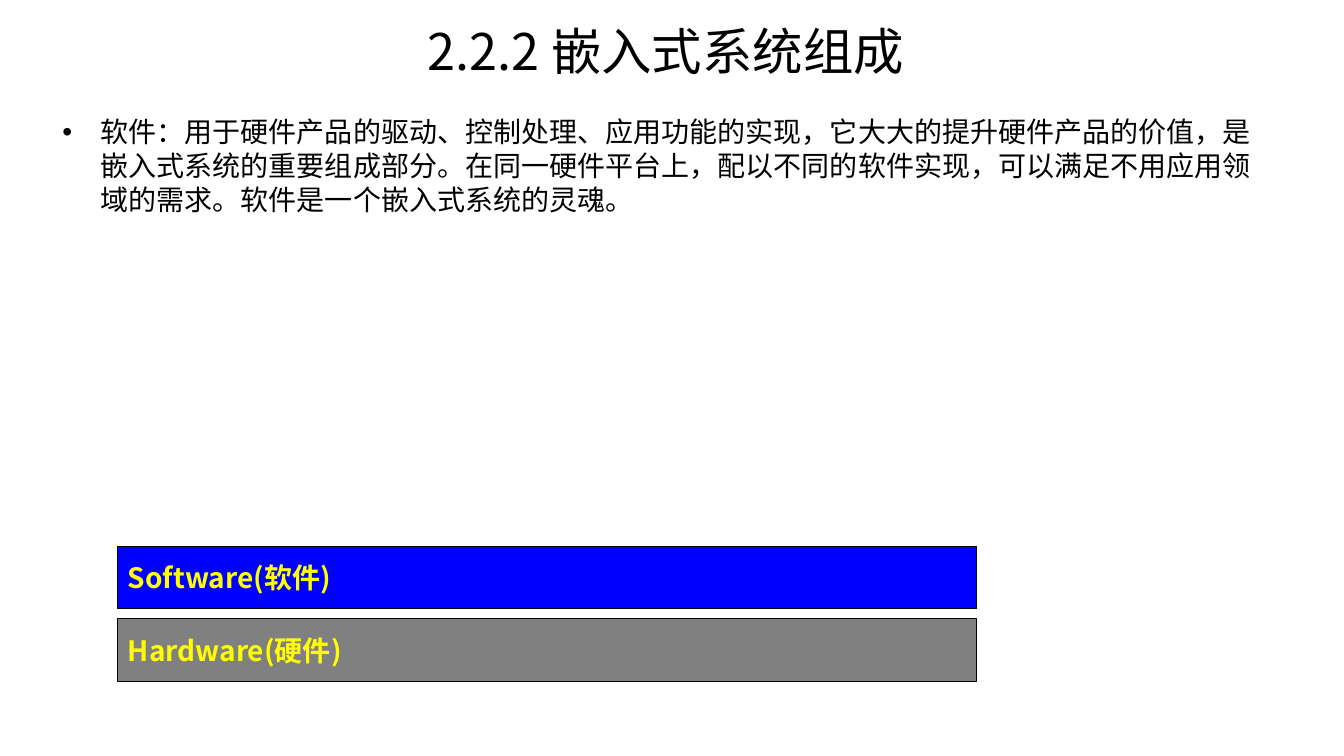
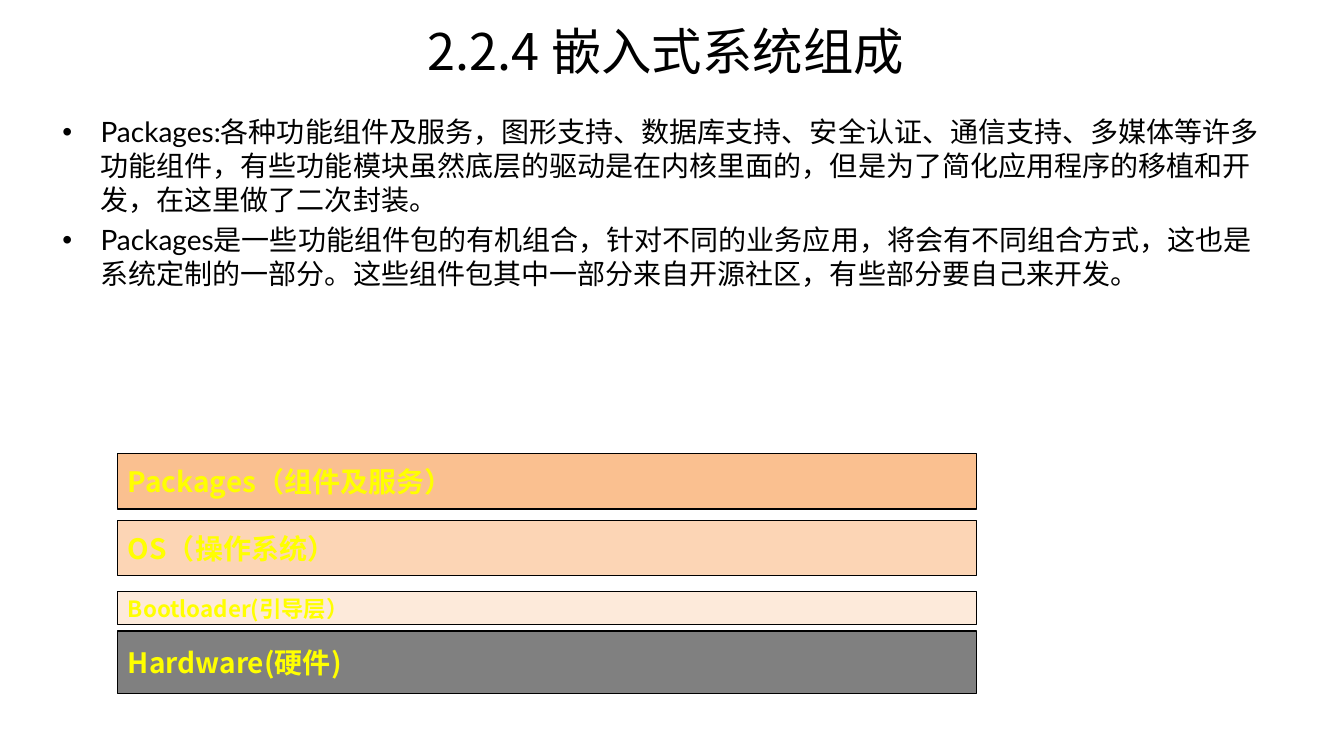
from pptx import Presentation
from pptx.dml.color import RGBColor
from pptx.enum.shapes import MSO_SHAPE
from pptx.enum.text import MSO_ANCHOR, MSO_AUTO_SIZE, PP_ALIGN
from pptx.oxml.ns import qn
from pptx.util import Inches, Pt
from lxml import etree

RECT = MSO_SHAPE.RECTANGLE
MIDDLE, TOP = MSO_ANCHOR.MIDDLE, MSO_ANCHOR.TOP
LEFT, CENTER = PP_ALIGN.LEFT, PP_ALIGN.CENTER
NO_FIT = MSO_AUTO_SIZE.NONE

COLS, ROWS = 80, 60
BLACK, YELLOW = "000000", "FFFF00"
GREY, BLUE = "808080", "0000FF"
DARK_PEACH, PEACH, PALE_PEACH = "FAC090", "FCD5B5", "FDEADA"


def rgb(value):
    return RGBColor.from_string(value)


class Deck:
    CJK, LATIN = "Noto Sans CJK SC", "Lato"
    TITLE_BOX = (8.64, 0.64, 62, 6.64)
    BODY_LEFT, BODY_TOP, BODY_WIDTH = 3.12, 8.72, 72.6
    BAR_LEFT, BAR_WIDTH = 7.02, 51.12
    INDENT = Inches(0.38)

    def __init__(self):
        self.prs = Presentation()
        self.prs.slide_width, self.prs.slide_height = Inches(13.33), Inches(7.5)
        self.slide = None

    def box(self, left, top, width, height):
        col, row = self.prs.slide_width / COLS, self.prs.slide_height / ROWS
        return int(left * col), int(top * row), int(width * col), int(height * row)

    def frame(self, sp, anchor):
        tf = sp.text_frame
        settings = {"word_wrap": True, "auto_size": NO_FIT, "vertical_anchor": anchor}
        for name, value in settings.items():
            setattr(tf, name, value)
        return tf

    def add_text(self, p, text, font, size, color, bold=False, align=LEFT):
        p.alignment = align
        r = p.add_run()
        r.text = text
        for name, value in {"name": font, "size": Pt(size), "bold": bold}.items():
            setattr(r.font, name, value)
        r.font.color.rgb = rgb(color)
        ea = etree.Element(qn("a:ea"), typeface=font)
        r._r.get_or_add_rPr().find(qn("a:latin")).addnext(ea)

    def title(self, text):
        self.slide = self.prs.slides.add_slide(self.prs.slide_layouts[5])
        sp = self.slide.shapes.title
        sp.left, sp.top, sp.width, sp.height = self.box(*self.TITLE_BOX)
        p = self.frame(sp, MIDDLE).paragraphs[0]
        self.add_text(p, text, self.CJK, 36, BLACK, align=CENTER)

    def bullets(self, height, *texts):
        place = self.box(self.BODY_LEFT, self.BODY_TOP, self.BODY_WIDTH, height)
        tf = self.frame(self.slide.shapes.add_textbox(*place), TOP)
        for i, text in enumerate(texts):
            p = tf.add_paragraph() if i else tf.paragraphs[0]
            p.space_before = Pt(5)
            self.add_text(p, text, self.LATIN, 20, BLACK)
            pPr = p._p.get_or_add_pPr()
            pPr.set("marL", str(self.INDENT))
            pPr.set("indent", str(-self.INDENT))
            etree.SubElement(pPr, qn("a:buFont"), typeface="Arial")
            etree.SubElement(pPr, qn("a:buChar"), char="•")

    def bar(self, text, fill, top, height=4.96, size=20):
        place = self.box(self.BAR_LEFT, top, self.BAR_WIDTH, height)
        sp = self.slide.shapes.add_shape(RECT, *place)
        sp.shadow.inherit = False
        sp.fill.solid()
        sp.fill.fore_color.rgb = rgb(fill)
        sp.line.color.rgb = rgb(BLACK)
        sp.line.width = Pt(0.75)
        p = self.frame(sp, MIDDLE).paragraphs[0]
        self.add_text(p, text, self.CJK, size, YELLOW, bold=True)


def main():
    deck = Deck()

    deck.title("2.2.2 嵌入式系统组成")
    deck.bullets(
        23.76,
        "软件：用于硬件产品的驱动、控制处理、应用功能的实现，它大大的提升硬件产品的价值，"
        "是嵌入式系统的重要组成部分。在同一硬件平台上，配以不同的软件实现，"
        "可以满足不用应用领域的需求。软件是一个嵌入式系统的灵魂。",
    )
    deck.bar("Hardware(硬件)", GREY, 49.12)
    deck.bar("Software(软件)", BLUE, 43.36)

    deck.title("2.2.4 嵌入式系统组成")
    deck.bullets(
        22.48,
        "Packages:各种功能组件及服务，图形支持、数据库支持、安全认证、通信支持、"
        "多媒体等许多功能组件，有些功能模块虽然底层的驱动是在内核里面的，"
        "但是为了简化应用程序的移植和开发，在这里做了二次封装。",
        "Packages是一些功能组件包的有机组合，针对不同的业务应用，将会有不同组合方式，"
        "这也是系统定制的一部分。这些组件包其中一部分来自开源社区，有些部分要自己来开发。",
    )
    deck.bar("Hardware(硬件)", GREY, 50.08)
    deck.bar("Bootloader(引导层）", PALE_PEACH, 46.96, 2.6, 16)
    deck.bar("OS（操作系统）", PEACH, 41.28, 4.4)
    deck.bar("Packages（组件及服务）", DARK_PEACH, 36, 4.4)

    deck.prs.save("out.pptx")


if __name__ == "__main__":
    main()
